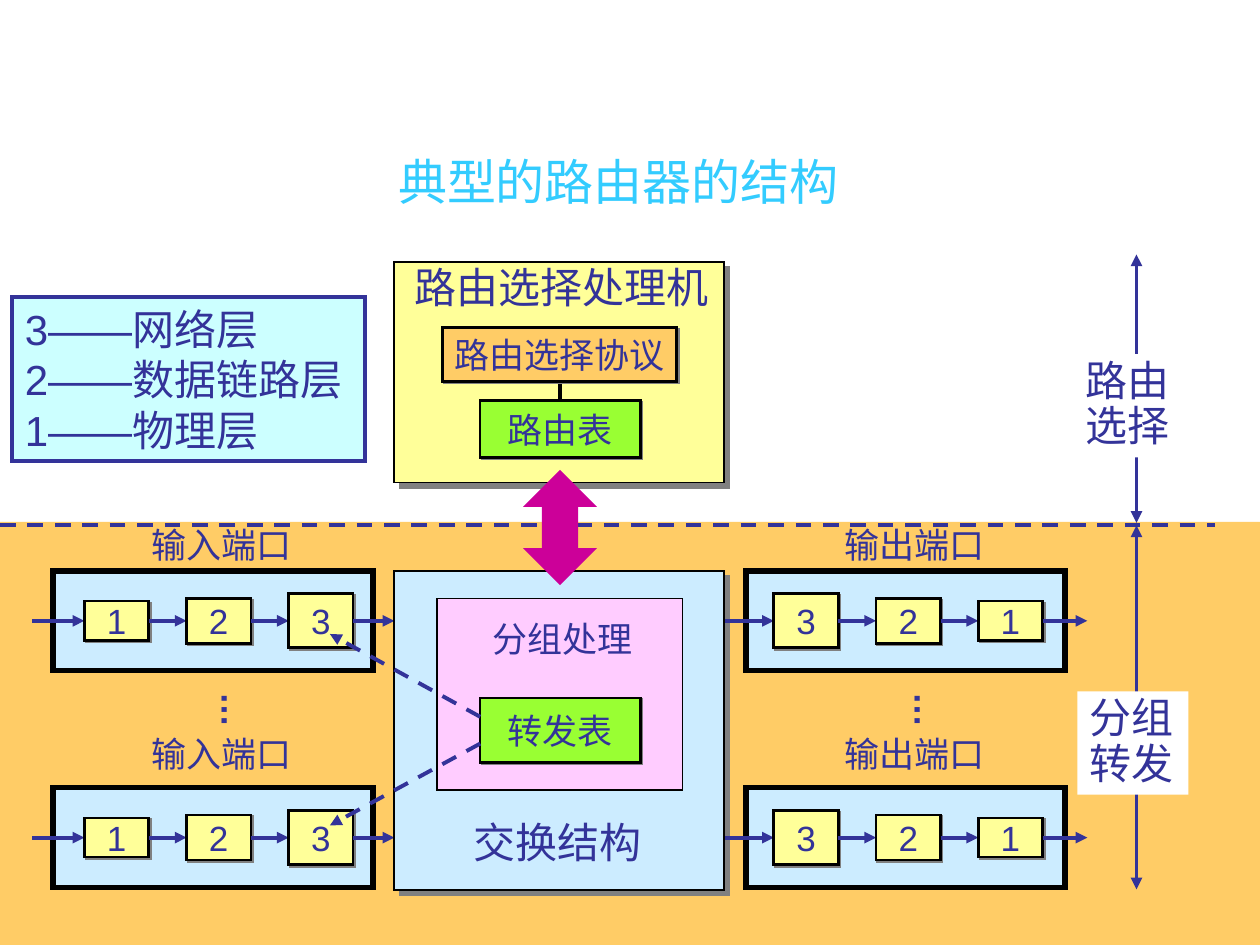
from dataclasses import dataclass

from lxml import etree
from pptx import Presentation
from pptx.dml.color import RGBColor
from pptx.enum.dml import MSO_LINE
from pptx.enum.shapes import MSO_CONNECTOR, MSO_SHAPE
from pptx.enum.text import MSO_ANCHOR, MSO_AUTO_SIZE, PP_ALIGN
from pptx.oxml.ns import qn
from pptx.util import Cm, Pt

RECT, UP_DOWN = MSO_SHAPE.RECTANGLE, MSO_SHAPE.UP_DOWN_ARROW
STRAIGHT, DASH = MSO_CONNECTOR.STRAIGHT, MSO_LINE.DASH
LEFT, CENTER = PP_ALIGN.LEFT, PP_ALIGN.CENTER
TOP, MIDDLE = MSO_ANCHOR.TOP, MSO_ANCHOR.MIDDLE
NO_FIT = MSO_AUTO_SIZE.NONE


@dataclass(frozen=True)
class Theme:
    """Colours, type sizes and line widths of the slide."""
    font: str = "Arial"
    ink: str = "333399"
    title: str = "33CCFF"
    black: str = "000000"
    white: str = "FFFFFF"
    shadow: str = "808080"
    orange: str = "FFCC66"
    yellow: str = "FFFF99"
    green: str = "99FF33"
    blue: str = "CCECFF"
    cyan: str = "CCFFFF"
    pink: str = "FFCCFF"
    magenta: str = "CC0099"
    title_size: int = 28
    large: int = 24
    small: int = 20
    thin: float = 1
    medium: float = 1.5
    arrow: float = 2.25
    thick: float = 3


T = Theme()


def rgb(value):
    """Turn a hex string into a colour."""
    return RGBColor.from_string(value)


def effects(sp, distance=0):
    """Give a shape a hard diagonal shadow, or an empty effect list."""
    lst = etree.SubElement(sp._element.spPr, qn("a:effectLst"))
    if distance:
        shadow = etree.SubElement(lst, qn("a:outerShdw"), dist=str(Pt(distance)),
                                  dir="2700000", algn="ctr", rotWithShape="0")
        etree.SubElement(shadow, qn("a:srgbClr"), val=T.shadow)


def write(sp, text, size, color=T.ink, align=LEFT, anchor=TOP, spacing=None, bold=False):
    """Write one paragraph for each line of text into a shape."""
    tf = sp.text_frame
    tf.word_wrap = False
    tf.auto_size = NO_FIT
    tf.vertical_anchor = anchor
    for i, line in enumerate(text.split("\n")):
        p = tf.paragraphs[0] if i == 0 else tf.add_paragraph()
        p.text = line
        p.alignment = align
        p.line_spacing = spacing
        p.font.name, p.font.size, p.font.bold = T.font, Pt(size), bold
        p.font.color.rgb = rgb(color)


def add_label(s, box, text, size, **style):
    """Add a text box."""
    sp = s.shapes.add_textbox(*map(Cm, box))
    write(sp, text, size, **style)
    return sp


def add_box(s, box, fill, line=None, width=T.thin, shadow=0, kind=RECT):
    """Add a filled shape with an optional sharp outline and shadow."""
    sp = s.shapes.add_shape(kind, *map(Cm, box))
    sp.fill.solid()
    sp.fill.fore_color.rgb = rgb(fill)
    if line:
        sp.line.color.rgb = rgb(line)
        sp.line.width = Pt(width)
        etree.SubElement(sp.line._get_or_add_ln(), qn("a:miter"), lim="800000")
    else:
        sp.line.fill.background()
    effects(sp, shadow)
    return sp


def add_node(s, box, text, fill):
    """Add a small shadowed box with centred text."""
    sp = add_box(s, box, fill, T.black, T.medium, shadow=1.4)
    write(sp, text, T.small, align=CENTER, anchor=MIDDLE)


def add_line(s, start, end, color=T.ink, dashed=False, ends=("tailEnd",)):
    """Add a straight line with arrowheads at the named ends."""
    cn = s.shapes.add_connector(STRAIGHT, *map(Cm, (*start, *end)))
    cn.line.color.rgb = rgb(color)
    cn.line.width = Pt(T.arrow)
    if dashed:
        cn.line.dash_style = DASH
    for name in ends:
        etree.SubElement(cn.line._get_or_add_ln(), qn(f"a:{name}"), type="triangle")
    effects(cn)


def routing_processor(s, box):
    """Draw the routing processor with its protocol and routing table."""
    x, y, _, _ = box
    add_box(s, box, T.yellow, T.black, shadow=4.2)
    add_label(s, (x + 0.15, y - 0.13, 6.43, 1.27), "路由选择处理机", T.large)
    add_line(s, (x + 3.33, y + 2.13), (x + 3.33, y + 2.8), T.black, ends=())
    add_node(s, (x + 0.97, y + 1.32, 4.72, 1.09), "路由选择协议", T.orange)
    add_node(s, (x + 1.73, y + 2.8, 3.23, 1.14), "路由表", T.green)


def switching_fabric(s, box):
    """Draw the switching fabric with packet processing inside."""
    x, y, _, _ = box
    add_box(s, box, T.blue, T.black, shadow=4.2)
    add_label(s, (x + 1.35, y + 4.82, 3.89, 1.27), "交换结构", T.large)
    add_box(s, (x + 0.86, y + 0.56, 4.95, 3.86), T.pink, T.black, 0.75)
    add_label(s, (x + 1.73, y + 0.81, 3.33, 1.12), "分组处理", T.small)
    add_node(s, (x + 1.73, y + 2.56, 3.23, 1.3), "转发表", T.green)


def port(s, box, label, label_rise, layers, first):
    """Draw a port: its label, frame and chain of layers joined by arrows."""
    x, y, w, h = box
    node_w, step, mid = 1.3, 2.06, y + h / 2
    heights = {"1": 0.79, "2": 0.91, "3": 1.09}
    add_box(s, box, T.blue, T.black, T.thick)
    add_label(s, (x + 1.73, y - label_rise, 3.33, 1.12), label, T.small)
    start = x - 0.42
    for i, layer in enumerate(layers):
        left = x + first + i * step
        add_line(s, (start, mid), (left, mid))
        add_node(s, (left, mid - heights[layer] / 2, node_w, heights[layer]), layer, T.yellow)
        start = left + node_w
    add_line(s, (start, mid), (x + 6.88, mid))


def port_column(s, box, label, layers, first):
    """Draw two ports, one above the other, with an ellipsis between them."""
    x, y, w, h = box
    port_h = 2.01
    for top, label_rise in ((y, 1.09), (y + h - port_h, 1.23)):
        port(s, (x, top, w, port_h), label, label_rise, layers, first)
    dots = add_label(s, (x + 3.06, y + 2.26, 1.22, 1.12), "…", T.small, bold=True)
    dots.rotation = 90


def span(s, box, text, label_x, label_y):
    """Draw a vertical double arrow with a two-line label over it."""
    x, y, _, h = box
    add_line(s, (x, y), (x, y + h), ends=("headEnd", "tailEnd"))
    sp = add_box(s, (x + label_x, y + label_y, 2.24, 2.08), T.white)
    write(sp, text, T.large, spacing=0.9)


def legend(s, box):
    """Draw the key to the layer numbers."""
    sp = add_box(s, box, T.cyan, T.ink, T.arrow)
    write(sp, "3——网络层\n2——数据链路层\n1——物理层", T.large)


def router_slide(prs):
    """Build the slide on router structure."""
    s = prs.slides.add_slide(prs.slide_layouts[6])
    add_box(s, (0, 10.52, 25.4, 8.53), T.orange)
    add_label(s, (2.94, 2.59, 19.05, 2.13), "典型的路由器的结构", T.title_size,
              color=T.title, align=CENTER, anchor=MIDDLE)
    routing_processor(s, (7.95, 5.28, 6.65, 4.45))
    legend(s, (0.25, 5.99, 7.11, 3.3))
    port_column(s, (1.07, 11.51, 6.45, 6.38), "输入端口", "123", 0.63)
    switching_fabric(s, (7.95, 11.51, 6.65, 6.43))
    port_column(s, (15.04, 11.51, 6.43, 6.38), "输出端口", "321", 0.56)
    add_line(s, (0, 10.59), (24.49, 10.59), dashed=True, ends=())
    span(s, (22.91, 5.13, 0, 5.41), "路由\n选择", -1.27, 2.01)
    span(s, (22.91, 10.59, 0, 7.34), "分组\n转发", -1.19, 3.35)
    for start_y, end_y in ((14.45, 12.78), (14.99, 16.64)):
        add_line(s, (9.68, start_y), (6.65, end_y), dashed=True)
    sp = add_box(s, (10.64, 9.53, 1.3, 2.21), T.magenta, T.magenta, T.arrow, kind=UP_DOWN)
    sp.adjustments[0], sp.adjustments[1] = 0.34, 0.5


def main():
    """Create the presentation and save it."""
    prs = Presentation()
    prs.slide_width, prs.slide_height = Cm(25.4), Cm(19.05)
    router_slide(prs)
    prs.save("out.pptx")


if __name__ == "__main__":
    main()
